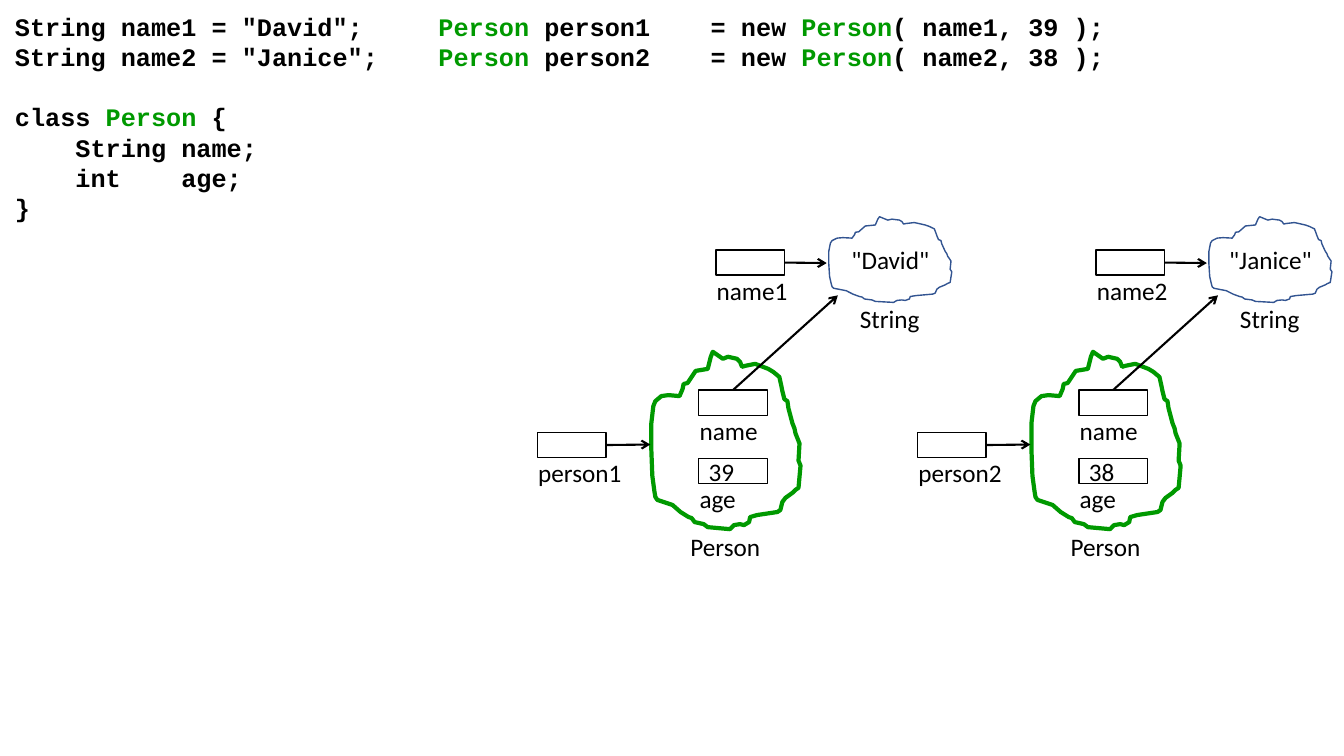
from lxml import etree
from pptx import Presentation
from pptx import util as u
from pptx.dml.color import RGBColor
from pptx.enum import shapes, text
from pptx.oxml.ns import qn

BLACK, GREEN, BLUE = "000000", "009900", "325491"
CODE_FONT, LABEL_FONT = "Courier New", "Calibri"
LINE_PITCH = u.Pt(21.6)

# Each line of code is a list of runs; the class name is shown in green.
CLASS_NAME = "Person"
DECLARATIONS = [
    ['String name1 = "David";'],
    ['String name2 = "Janice";'],
    ["class ", CLASS_NAME, " {"],
    ["    String name;"],
    ["    int    age;"],
    ["}"],
]
CONSTRUCTIONS = [
    [CLASS_NAME, " person1    = new ", CLASS_NAME, "( name1, 39 );"],
    [CLASS_NAME, " person2    = new ", CLASS_NAME, "( name2, 38 );"],
]
PEOPLE = [
    {"variable": "person1", "name_variable": "name1", "name": '"David"', "age": "39"},
    {"variable": "person2", "name_variable": "name2", "name": '"Janice"', "age": "38"},
]

# Outline of an object cloud, in hundredths of an inch at full size
CLOUD = [
    (0, 71), (2, 54), (4, 49), (10, 44), (17, 43), (28, 44), (31, 37), (32, 32),
    (36, 31), (42, 22), (44, 19), (56, 17), (59, 5), (61, 0), (71, 7), (76, 5),
    (85, 7), (88, 10), (90, 15), (93, 14), (103, 12), (116, 17), (121, 20),
    (127, 25), (129, 34), (130, 39), (132, 47), (135, 49), (136, 56), (140, 71),
    (142, 76), (143, 81), (147, 91), (146, 108), (148, 113), (146, 135),
    (143, 137), (140, 140), (133, 145), (130, 149), (128, 157), (125, 159),
    (105, 162), (98, 164), (97, 169), (92, 172), (88, 171), (82, 172), (78, 176),
    (56, 174), (52, 171), (43, 169), (40, 165), (37, 164), (29, 159), (21, 152),
    (15, 150), (6, 147), (4, 144), (3, 138), (1, 123), (0, 97),
]
CLOUD_WIDTH, CLOUD_HEIGHT = 148, 176

FIRST_LEFT, PERSON_STEP = 5.33, 3.77
BOX_WIDTH, BOX_HEIGHT = 0.68, 0.25
LABEL_HEIGHT = 0.4

presentation = Presentation()
presentation.slide_width, presentation.slide_height = u.Inches(13.33), u.Inches(7.5)
slide = presentation.slides.add_slide(presentation.slide_layouts[6])


def color(hex_string):
    return RGBColor.from_string(hex_string)


def add_run(paragraph, words, font_name, hex_color=BLACK, bold=False):
    run = paragraph.add_run()
    run.text = words
    run.font.name, run.font.size, run.font.bold = font_name, u.Pt(18), bold
    run.font.color.rgb = color(hex_color)


def add_text_box(left, top, width, height):
    shape = slide.shapes.add_textbox(*map(u.Inches, (left, top, width, height)))
    shape.text_frame.word_wrap = False
    return shape.text_frame


def add_code(lines, left, top, width, height, gap_before=None):
    """Write lines of code, with one empty line's space before line gap_before."""
    frame = add_text_box(left, top, width, height)
    for number, runs in enumerate(lines):
        paragraph = frame.add_paragraph() if number else frame.paragraphs[0]
        paragraph.line_spacing = LINE_PITCH
        if number == gap_before:
            paragraph.space_before = LINE_PITCH
        for words in runs:
            add_run(paragraph, words, CODE_FONT,
                    GREEN if words == CLASS_NAME else BLACK, bold=True)


def add_label(words, left, top, width):
    frame = add_text_box(left, top, width, LABEL_HEIGHT)
    add_run(frame.paragraphs[0], words, LABEL_FONT)


def outline(shape, hex_color, width):
    shape.shadow.inherit = False
    shape.fill.background()
    shape.line.color.rgb = color(hex_color)
    shape.line.width = u.Pt(width)


def write_inside(shape, words, alignment):
    frame = shape.text_frame
    frame.word_wrap = True
    frame.vertical_anchor = text.MSO_ANCHOR.MIDDLE
    frame.paragraphs[0].alignment = alignment
    add_run(frame.paragraphs[0], words, LABEL_FONT)


def add_variable(label, left, top, label_width, label_drop=0.2, value=None):
    """Draw a box for a variable with its label below, and return the box."""
    box = slide.shapes.add_shape(
        shapes.MSO_SHAPE.RECTANGLE, *map(u.Inches, (left, top, BOX_WIDTH, BOX_HEIGHT)))
    outline(box, BLACK, 1)
    if value:
        write_inside(box, value, text.PP_ALIGN.LEFT)
    add_label(label, left - 0.09, top + label_drop, label_width)
    return box


def add_cloud(left, top, width, height, hex_color, line_width):
    scale = (u.Inches(width) / CLOUD_WIDTH, u.Inches(height) / CLOUD_HEIGHT)
    builder = slide.shapes.build_freeform(*CLOUD[0], scale=scale)
    builder.add_line_segments(CLOUD[1:], close=True)
    cloud = builder.convert_to_shape(u.Inches(left), u.Inches(top))
    outline(cloud, hex_color, line_width)
    return cloud


def add_pointer(box, side, end_x, end_y):
    """Draw an arrow from the middle of a box's side to a point."""
    end = u.Inches(end_x), u.Inches(end_y)
    arrow = slide.shapes.add_connector(shapes.MSO_CONNECTOR.STRAIGHT, box.left, box.top, *end)
    arrow.begin_connect(box, side)
    arrow.line.color.rgb = color(BLACK)
    arrow.line.width = u.Pt(1.5)
    etree.SubElement(arrow.line._get_or_add_ln(), qn("a:tailEnd"), type="arrow")
    etree.SubElement(arrow._element.spPr, qn("a:effectLst"))


def add_person(person, left):
    string_cloud = add_cloud(left + 2.89, 2.15, 1.22, 0.85, BLUE, 1)
    write_inside(string_cloud, person["name"], text.PP_ALIGN.CENTER)
    add_label("String", left + 3.1, 2.96, 0.8)
    name_variable = add_variable(person["name_variable"], left + 1.77, 2.48, 0.91)
    add_pointer(name_variable, 3, left + 2.87, 2.61)

    add_cloud(left + 1.13, 3.49, 1.48, 1.76, GREEN, 3)
    add_label(CLASS_NAME, left + 1.42, 5.22, 0.9)
    add_variable("age", left + 1.6, 4.55, 0.57, value=person["age"])
    name_field = add_variable("name", left + 1.6, 3.87, 0.78)
    add_pointer(name_field, 0, left + 2.98, 2.93)

    variable = add_variable(person["variable"], left, 4.29, 1.04)
    add_pointer(variable, 3, left + 1.12, 4.41)


add_code(DECLARATIONS, 0.05, 0.06, 3.82, 2.22, gap_before=2)
add_code(CONSTRUCTIONS, 4.25, 0.06, 9.08, 0.71)
for index, person in enumerate(PEOPLE):
    add_person(person, FIRST_LEFT + index * PERSON_STEP)

presentation.save("out.pptx")
